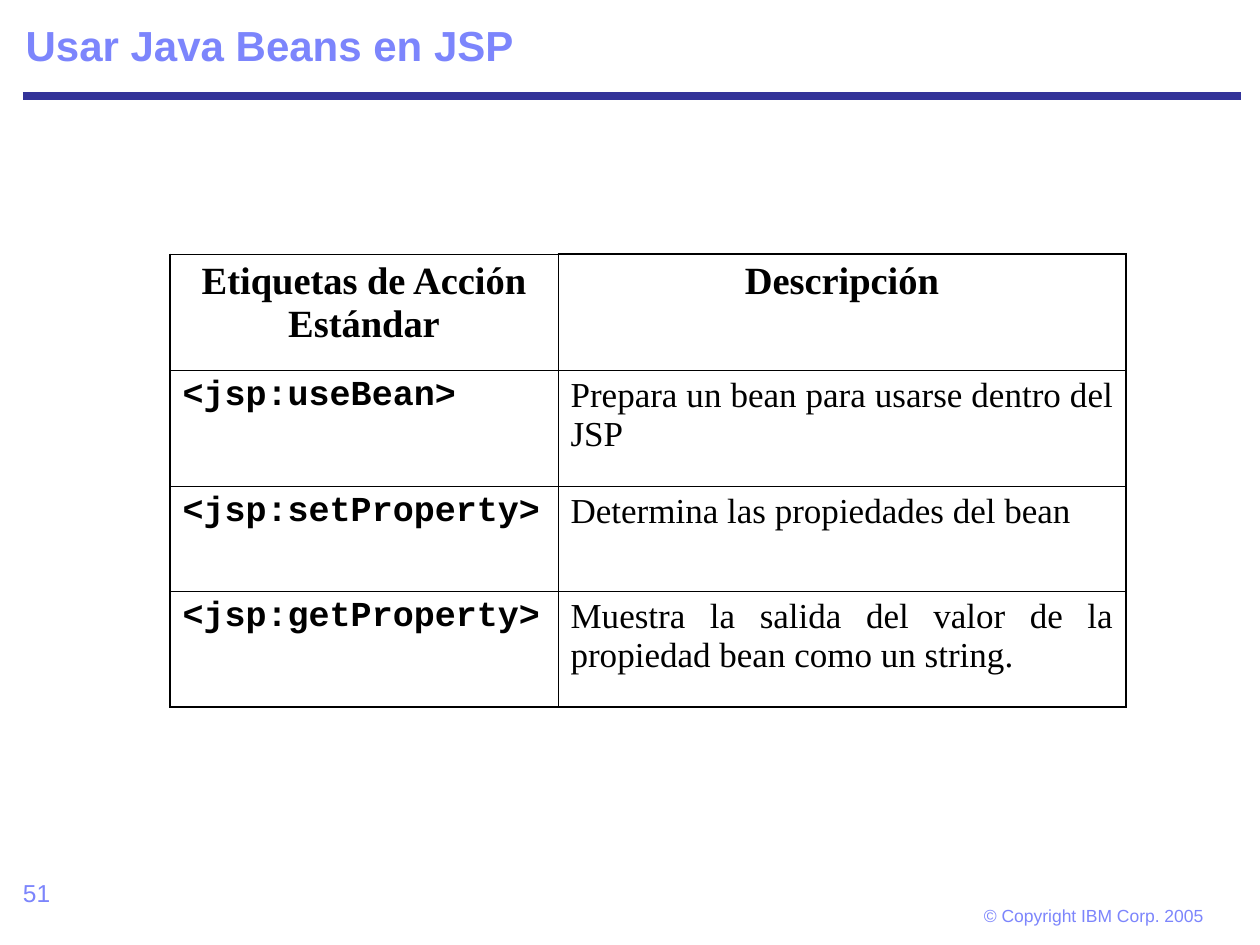
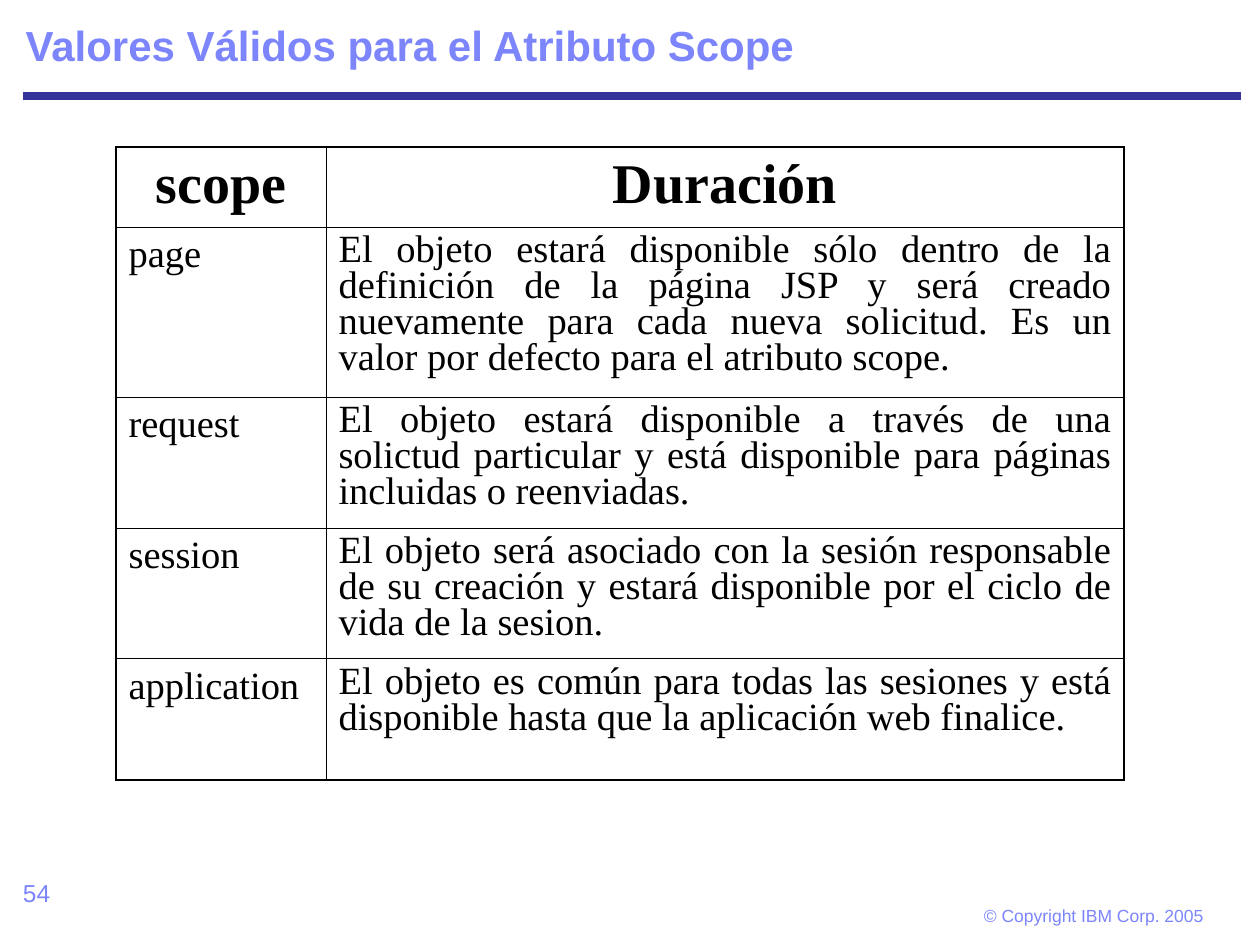
"""Build two slides about JSP bean tags and scope values."""
from lxml import etree
from pptx import Presentation
from pptx import util as u
from pptx.dml.color import RGBColor
from pptx.enum import shapes, text
from pptx.oxml.ns import qn

PX = 914400 / 126
LILAC = RGBColor(0x7C, 0x85, 0xFC)
NAVY = RGBColor(0x33, 0x33, 0x99)
BLACK = RGBColor(0, 0, 0)
SANS, SERIF, MONO = "Arial", "Times New Roman", "Courier New"
LEFT, CENTER, JUSTIFY = text.PP_ALIGN.LEFT, text.PP_ALIGN.CENTER, text.PP_ALIGN.JUSTIFY
THICK, THIN = 1.08, 0.45
COPYRIGHT = "© Copyright IBM Corp. 2005"

SLIDES = [
    {
        "title": "Usar Java Beans en JSP",
        "number": "51",
        "origin": (170, 254),
        "widths": (388, 568),
        "heights": (116, 116, 105, 116),
        "corner_top": THIN,
        "header_size": 22,
        "column_styles": [
            {"font": (MONO, 20, True), "align": LEFT, "spacing": 1.0},
            {"font": (SERIF, 20, False), "align": JUSTIFY, "spacing": 1.0},
        ],
        "rows": [
            ("Etiquetas de Acción Estándar", "Descripción"),
            ("<jsp:useBean>", "Prepara un bean para usarse dentro del JSP"),
            ("<jsp:setProperty>", "Determina las propiedades del bean"),
            ("<jsp:getProperty>",
             "Muestra la salida del valor de la propiedad bean como un string."),
        ],
    },
    {
        "title": "Valores Válidos para el Atributo Scope",
        "number": "54",
        "origin": (116, 147),
        "widths": (210, 798),
        "heights": (80, 170, 131, 131, 121),
        "corner_top": THICK,
        "header_size": 32,
        "column_styles": [
            {"font": (SERIF, 22, False), "align": LEFT, "spacing": 1.0},
            {"font": (SERIF, 22, False), "align": JUSTIFY, "spacing": 0.85},
        ],
        "rows": [
            ("scope", "Duración"),
            ("page",
             "El objeto estará disponible sólo dentro de la definición de la página JSP "
             "y será creado nuevamente para cada nueva solicitud. Es un valor por defecto "
             "para el atributo scope."),
            ("request",
             "El objeto estará disponible a través de una solictud particular y está "
             "disponible para páginas incluidas o reenviadas."),
            ("session",
             "El objeto será asociado con la sesión responsable de su creación y estará "
             "disponible por el ciclo de vida de la sesion."),
            ("application",
             "El objeto es común para todas las sesiones y está disponible hasta que la "
             "aplicación web finalice."),
        ],
    },
]


def px(length):
    return u.Emu(round(length * PX))


def write(frame, words, font, color, align=LEFT, spacing=1.0):
    frame.text = words
    paragraph = frame.paragraphs[0]
    paragraph.alignment = align
    paragraph.line_spacing = spacing
    paragraph.space_before = u.Pt(0)
    run_font = paragraph.runs[0].font
    run_font.name, size, run_font.bold = font
    run_font.size = u.Pt(size)
    run_font.color.rgb = color


def add_title(slide, words):
    title = slide.shapes.title
    title.left, title.top, title.width, title.height = map(px, (13, 18, 1225, 71))
    frame = title.text_frame
    frame.vertical_anchor = text.MSO_ANCHOR.TOP
    frame.auto_size = text.MSO_AUTO_SIZE.NONE
    write(frame, words, (SANS, 24, True), LILAC, spacing=0.93)


def add_rule(slide):
    rule = slide.shapes.add_connector(
        shapes.MSO_CONNECTOR.STRAIGHT, px(23), px(96), px(1241), px(96))
    rule.line.color.rgb = NAVY
    rule.line.width = u.Pt(4.5)
    etree.SubElement(rule._element.spPr, qn("a:effectLst"))


def add_footer(slide, words, box, size, margins):
    frame = slide.shapes.add_textbox(*map(px, box)).text_frame
    frame.word_wrap = True
    frame.margin_left, frame.margin_top, frame.margin_right, frame.margin_bottom = map(
        px, margins)
    write(frame, words, (SANS, size, False), LILAC)


def set_borders(cell, widths):
    properties = cell._tc.get_or_add_tcPr()
    for side, width in widths.items():
        border = etree.SubElement(properties, qn(f"a:ln{side}"), w=str(u.Pt(width)))
        fill = etree.SubElement(border, qn("a:solidFill"))
        etree.SubElement(fill, qn("a:srgbClr"), val=str(BLACK))


def add_grid(slide, content):
    rows, widths, heights = content["rows"], content["widths"], content["heights"]
    table = slide.shapes.add_table(
        len(rows), len(widths), *map(px, content["origin"]),
        px(sum(widths)), px(sum(heights))).table
    table.first_row = table.horz_banding = False
    for column, width in zip(table.columns, widths):
        column.width = px(width)
    for row, height in zip(table.rows, heights):
        row.height = px(height)

    header_style = {"font": (SERIF, content["header_size"], True), "align": CENTER}
    last_row, last_column = len(rows) - 1, len(widths) - 1
    for r, row in enumerate(rows):
        for c, words in enumerate(row):
            cell = table.cell(r, c)
            style = content["column_styles"][c] if r else header_style
            write(cell.text_frame, words, color=BLACK, **style)
            top = THIN if r else THICK if c else content["corner_top"]
            set_borders(cell, {
                "L": THIN if c else THICK,
                "R": THICK if c == last_column else THIN,
                "T": top,
                "B": THICK if r == last_row else THIN,
            })
            cell.fill.background()


def main():
    deck = Presentation()
    deck.slide_width, deck.slide_height = px(1260), px(945)
    for content in SLIDES:
        slide = deck.slides.add_slide(deck.slide_layouts[5])
        add_rule(slide)
        add_footer(slide, content["number"], (10, 872, 262, 63), 14, (13, 6, 13, 6))
        add_footer(slide, COPYRIGHT, (960, 896, 268, 40), 10, (24, 9, 13, 9))
        add_title(slide, content["title"])
        add_grid(slide, content)
    deck.save("out.pptx")


if __name__ == "__main__":
    main()
